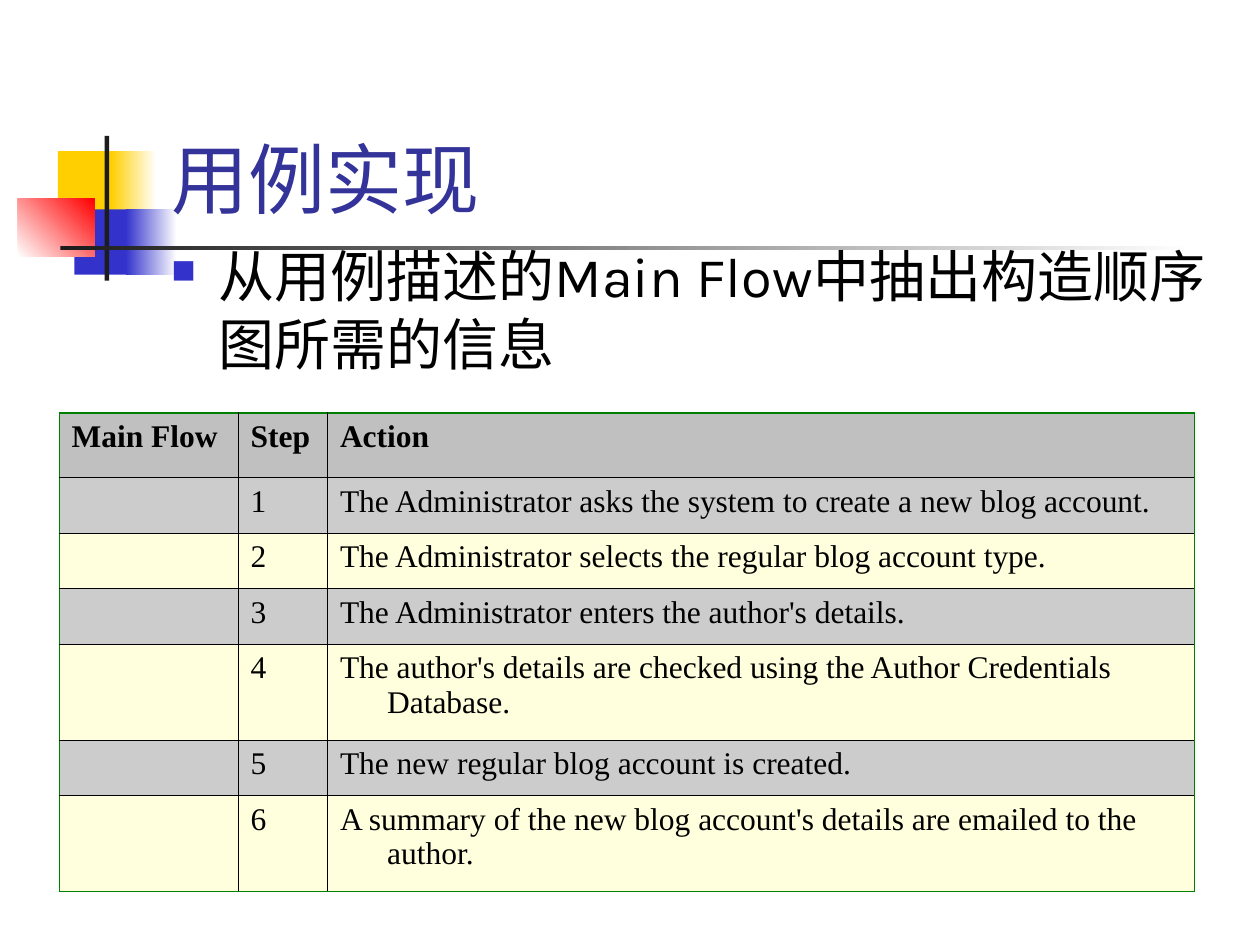
from typing import NamedTuple, Optional

from lxml.etree import SubElement
from pptx import Presentation
from pptx.dml.color import RGBColor
from pptx.enum.shapes import MSO_SHAPE as Shape
from pptx.enum.text import MSO_ANCHOR as Anchor
from pptx.oxml import parse_xml
from pptx.oxml.ns import nsdecls, qn
from pptx.util import Cm, Pt

WHITE = RGBColor(0xFF, 0xFF, 0xFF)
BLACK = RGBColor(0, 0, 0)
GOLD = RGBColor(0xFF, 0xCF, 0x01)
BLUE = RGBColor(0x33, 0x33, 0xCC)
RED = RGBColor(0xFF, 0, 0)
INK = RGBColor(0x1C, 0x1C, 0x1C)
NAVY = RGBColor(0x33, 0x33, 0x99)
GREEN = RGBColor(0, 0x80, 0)
HEAD = RGBColor(0xC0, 0xC0, 0xC0)
GRAY = RGBColor(0xCC, 0xCC, 0xCC)
CREAM = RGBColor(0xFF, 0xFF, 0xDD)

SANS, SERIF = "Karla", "Times New Roman"
HANG = Cm(0.95)


class Block(NamedTuple):
    left: float
    top: float
    width: float
    height: float
    color: RGBColor
    end: Optional[RGBColor] = None
    angle: int = 0


class Edge(NamedTuple):
    color: RGBColor
    width: float


BLOCKS = [
    Block(1.17, 3.05, 1.22, 1.32, GOLD),
    Block(2.24, 3.05, 0.91, 1.32, GOLD, WHITE),
    Block(1.5, 4.22, 1.17, 1.32, BLUE),
    Block(2.54, 4.22, 1.02, 1.32, BLUE, WHITE),
    Block(0.36, 4.01, 1.55, 1.17, WHITE, RED, 45),
    Block(2.11, 2.74, 0.09, 2.92, INK),
    Block(1.22, 4.95, 22.86, 0.09, INK, WHITE),
]

ACTIONS = [
    "The Administrator asks the system to create a new blog account.",
    "The Administrator selects the regular blog account type.",
    "The Administrator enters the author's details.",
    "The author's details are checked using the Author Credentials Database.",
    "The new regular blog account is created.",
    "A summary of the new blog account's details are emailed to the author.",
]
ROWS = [("Main Flow", "Step", "Action")]
ROWS += [("", str(step), text) for step, text in enumerate(ACTIONS, 1)]
WIDTHS = [3.61, 1.8, 17.47]
HEIGHTS = [1.3, 1.12, 1.12, 1.12, 1.93, 1.12, 1.93]

OUTER = Edge(GREEN, 0.96)
SIDE = Edge(GREEN, 0.45)
RULE = Edge(BLACK, 0.45)
INNER = Edge(BLACK, 0.34)


def draw_block(slide, block: Block) -> None:
    shape = slide.shapes.add_shape(Shape.RECTANGLE, *map(Cm, block[:4]))
    shape.shadow.inherit = False
    shape.line.fill.background()
    if block.end is None:
        shape.fill.solid()
        shape.fill.fore_color.rgb = block.color
        return
    shape.fill.gradient()
    shape.fill.gradient_angle = block.angle
    for stop, color in zip(shape.fill.gradient_stops, (block.color, block.end)):
        stop.color.rgb = color


def style(para, font: str, size: int, color: RGBColor, bold: bool = False) -> None:
    for run in para.runs:
        run.font.name = font
        run.font.size = Pt(size)
        run.font.color.rgb = color
        run.font.bold = bold


def hang(para):
    """Give the paragraph a hanging indent and return its properties."""
    props = para._p.get_or_add_pPr()
    props.set("marL", str(HANG))
    props.set("indent", str(-HANG))
    return props


def add_text(slide, box: tuple, text: str, size: int, color: RGBColor, anchor: Anchor):
    frame = slide.shapes.add_textbox(*map(Cm, box)).text_frame
    frame.word_wrap = True
    frame.vertical_anchor = anchor
    frame.text = text
    para = frame.paragraphs[0]
    style(para, SANS, size, color)
    return para


def add_bullet(para) -> None:
    props = hang(para)
    tint = SubElement(props, qn("a:buClr"))
    SubElement(tint, qn("a:srgbClr"), val=str(BLUE))
    SubElement(props, qn("a:buSzPct"), val="60000")
    SubElement(props, qn("a:buChar"), char="■")


def set_edges(cell, edges: dict[str, Edge]) -> None:
    """Draw the cell borders, keyed L, R, T, B in that order."""
    props = cell._tc.get_or_add_tcPr()
    for spot, (side, edge) in enumerate(edges.items()):
        props.insert(spot, parse_xml(
            f'<a:ln{side} {nsdecls("a")} w="{Pt(edge.width)}"><a:solidFill>'
            f'<a:srgbClr val="{edge.color}"/></a:solidFill></a:ln{side}>'))


def add_flow(slide) -> None:
    size = Cm(sum(WIDTHS)), Cm(sum(HEIGHTS))
    table = slide.shapes.add_table(
        len(ROWS), len(WIDTHS), Cm(1.19), Cm(8.33), *size).table
    table.first_row = table.horz_banding = False
    for col, width in zip(table.columns, WIDTHS):
        col.width = Cm(width)
    end_row, end_col = len(ROWS) - 1, len(WIDTHS) - 1
    for r, texts in enumerate(ROWS):
        table.rows[r].height = Cm(HEIGHTS[r])
        for c, text in enumerate(texts):
            cell = table.cell(r, c)
            cell.fill.solid()
            cell.fill.fore_color.rgb = HEAD if r == 0 else GRAY if r % 2 else CREAM
            set_edges(cell, {
                "L": SIDE if c == 0 else INNER,
                "R": SIDE if c == end_col else INNER,
                "T": OUTER if r == 0 else RULE,
                "B": OUTER if r == end_row else RULE,
            })
            if text:
                cell.text_frame.text = text
                para = cell.text_frame.paragraphs[0]
                hang(para)
                style(para, SERIF, 18, BLACK, r == 0)


def main() -> None:
    deck = Presentation()
    deck.slide_width, deck.slide_height = Cm(25.4), Cm(19.05)
    slide = deck.slides.add_slide(deck.slide_layouts[6])
    for block in BLOCKS:
        draw_block(slide, block)
    add_text(slide, (3.2, 0.58, 21.64, 4.06), "用例实现", 44, NAVY, Anchor.BOTTOM)
    lead = add_text(slide, (3.2, 4.75, 22.2, 3.38),
                    "从用例描述的Main Flow中抽出构造顺序图所需的信息",
                    32, BLACK, Anchor.TOP)
    add_bullet(lead)
    add_flow(slide)
    deck.save("out.pptx")


if __name__ == "__main__":
    main()
